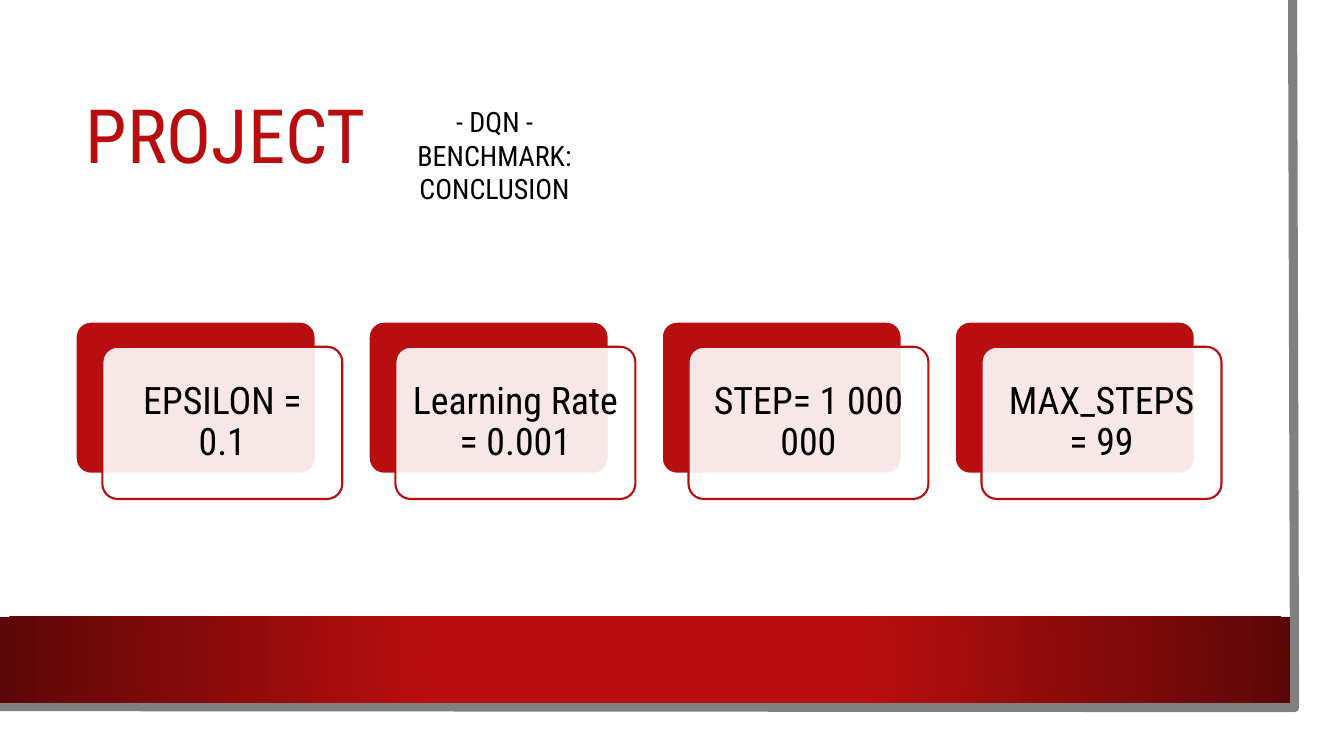
from lxml import etree
from pptx import Presentation, util as u
from pptx.dml.color import RGBColor
from pptx.enum import shapes, text
from pptx.oxml import parse_xml
from pptx.oxml.ns import nsdecls, qn

THEME = {
    "red": RGBColor.from_string("B80E0F"),
    "dark_red": RGBColor.from_string("5C0707"),
    "gray": RGBColor.from_string("808080"),
    "white": RGBColor.from_string("FFFFFF"),
    "black": RGBColor.from_string("000000"),
    "font": "Roboto Condensed",
    "title": 53.5,
    "subtitle": 20,
    "card": 27,
}
SETTINGS = ["EPSILON = 0.1", "Learning Rate = 0.001", "STEP= 1 000 000", "MAX_STEPS = 99"]
LEFT, TOP, PITCH = 0.75, 3.19, 8.72 / 3
CARD_WIDTH, CARD_HEIGHT = 2.38, 1.51


def write(frame, lines, size, color, align, spacing=1.0):
    frame.word_wrap = True
    for index, line in enumerate(lines):
        para = frame.add_paragraph() if index else frame.paragraphs[0]
        para.alignment = align
        para.line_spacing = spacing
        span = para.add_run()
        span.text = line
        formats = {"name": THEME["font"], "size": u.Pt(THEME[size])}
        for key, value in formats.items():
            setattr(span.font, key, value)
        span.font.color.rgb = THEME[color]


def add_panel(page, kind, left, top, width, height, fill, line=None):
    panel = page.shapes.add_shape(kind, *map(u.Inches, (left, top, width, height)))
    panel.shadow.inherit = False
    panel.fill.solid()
    panel.fill.fore_color.rgb = THEME[fill]
    if line:
        panel.adjustments[0] = 0.1
        panel.line.color.rgb = THEME[line]
        panel.line.width = u.Pt(1.5)
    else:
        panel.line.fill.background()
    return panel


deck = Presentation()
deck.slide_width, deck.slide_height = u.Inches(13.33), u.Inches(7.5)
page = deck.slides.add_slide(deck.slide_layouts[5])

builder = page.shapes.build_freeform(u.Inches(12.82), 0)
corners = [(12.84, 7.02), (-0.03, 7.01)]
builder.add_line_segments([(u.Inches(x), u.Inches(y)) for x, y in corners], close=False)
edge = builder.convert_to_shape()
edge.shadow.inherit = False
edge.fill.background()
edge.line.color.rgb = THEME["gray"]
edge.line.width = u.Pt(6.5)

band = add_panel(page, shapes.MSO_SHAPE.RECTANGLE, 0, 6.12, 12.8, 0.85, "red")
solid = band.element.spPr.find(qn("a:solidFill"))
gradient = parse_xml(
    f'<a:gradFill {nsdecls("a")} rotWithShape="1"><a:gsLst>'
    f'<a:gs pos="34000"><a:srgbClr val="{THEME["red"]}"/></a:gs>'
    f'<a:gs pos="100000"><a:srgbClr val="{THEME["dark_red"]}"/></a:gs></a:gsLst>'
    '<a:path path="circle"><a:fillToRect l="50000" t="50000" r="50000" b="50000"/></a:path>'
    '</a:gradFill>'
)
band.element.spPr.replace(solid, gradient)

title = page.shapes.title
title_place = {"left": LEFT, "top": 0.75, "width": 11.37, "height": 1.26}
for key, value in title_place.items():
    setattr(title, key, u.Inches(value))
title.text_frame.vertical_anchor = text.MSO_ANCHOR.MIDDLE
write(title.text_frame, ["PROJECT"], "title", "red", text.PP_ALIGN.LEFT, 0.9)

subtitle = page.shapes.add_textbox(*map(u.Inches, (3.33, 0.99, 3.15, 0.77)))
write(subtitle.text_frame, ["- DQN -", "BENCHMARK: CONCLUSION"],
      "subtitle", "black", text.PP_ALIGN.CENTER)

rounded = shapes.MSO_SHAPE.ROUNDED_RECTANGLE
for column, setting in enumerate(SETTINGS):
    left = LEFT + column * PITCH
    add_panel(page, rounded, left, TOP, CARD_WIDTH, CARD_HEIGHT, "red", "white")
    card = add_panel(page, rounded, left + 0.265, TOP + 0.25,
                     CARD_WIDTH, CARD_HEIGHT, "white", "red")
    tint = card.element.spPr.find(qn("a:solidFill")).find(qn("a:srgbClr"))
    etree.SubElement(tint, qn("a:alpha"), val="90000")
    frame = card.text_frame
    frame.vertical_anchor = text.MSO_ANCHOR.MIDDLE
    for side in ("left", "right", "top", "bottom"):
        setattr(frame, f"margin_{side}", u.Inches(0.11))
    write(frame, [setting], "card", "black", text.PP_ALIGN.CENTER, 0.9)

deck.save("out.pptx")
